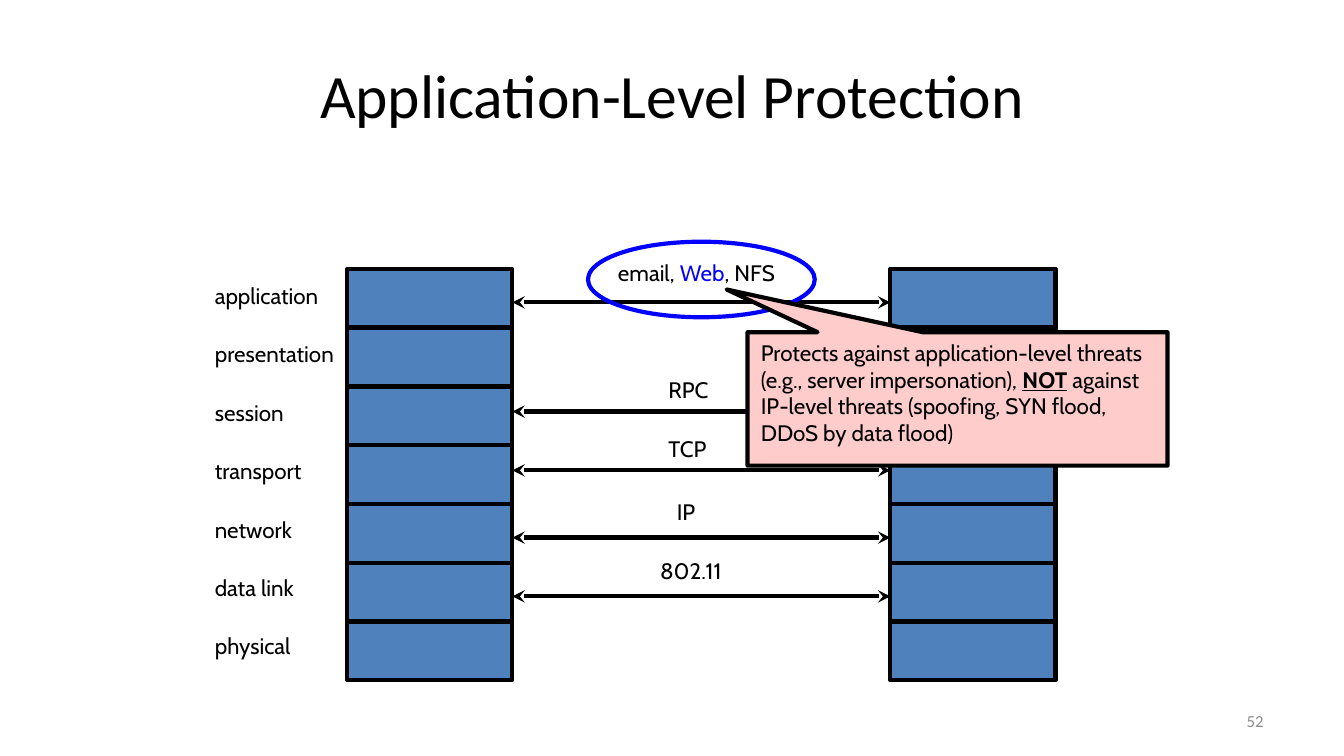
import pptx
import pptx.dml.color
import pptx.enum.shapes
import pptx.enum.text
import pptx.oxml.xmlchemy
import pptx.util

Pt = pptx.util.Pt
Align = pptx.enum.text.PP_ALIGN
Anchor = pptx.enum.text.MSO_ANCHOR
Shape = pptx.enum.shapes.MSO_SHAPE
OxmlElement = pptx.oxml.xmlchemy.OxmlElement

COLORS = {
    "black": "000000",
    "layer": "4F81BD",
    "highlight": "0000FF",
    "callout": "FFCCCC",
    "number": "8C8C8C",
}
BODY = {"name": "Cabin", "size": Pt(12)}
LINE_WIDTH = 2.25

STACK_LEFTS = (186, 477)
STACK_TOP = 144
LAYER_WIDTH = 88.5
LAYER_HEIGHT = 31.5
LABEL_LEFT = 108
LABEL_TOP = 147.5
LABEL_STEP = 31.3
LABEL_HEIGHT = 21.8

# name, label width
LAYERS = [
    ("application", 72),
    ("presentation", 81.5),
    ("session", 53.5),
    ("transport", 63.5),
    ("network", 57.5),
    ("data link", 60),
    ("physical", 57),
]
# arrow height, label left, top and width, label runs
PROTOCOLS = [
    (162, 324, 135, 102.5, [("email, ", {}), ("Web", {"color": "highlight"}), (", NFS", {})]),
    (220.5, 351, 198, 36, [("RPC", {})]),
    (252, 351, 229.5, 35.5, [("TCP", {})]),
    (288, 355.5, 263.5, 26, [("IP", {})]),
    (319.5, 346.5, 295, 51, [("802.11", {})]),
]
CALLOUT = [
    ("Protects against application-level threats (e.g., server impersonation), ", {}),
    ("NOT", {"bold": True, "underline": True}),
    (" against IP-level threats (spoofing, SYN flood, DDoS by data flood)", {}),
]


def rgb(name):
    return pptx.dml.color.RGBColor.from_string(COLORS[name])


def write(shape, runs, base=BODY, color="black", align=Align.LEFT, anchor=Anchor.TOP, wrap=True):
    """Fill a shape with one paragraph of (text, format) runs."""
    frame = shape.text_frame
    frame.word_wrap = wrap
    frame.vertical_anchor = anchor
    paragraph = frame.paragraphs[0]
    paragraph.alignment = align
    for text, changes in runs:
        run = paragraph.add_run()
        run.text = text
        values = {**base, "color": color, **changes}
        run.font.color.rgb = rgb(values.pop("color"))
        for attribute, value in values.items():
            setattr(run.font, attribute, value)


def add_text(slide, left, top, width, height, runs, **options):
    box = slide.shapes.add_textbox(Pt(left), Pt(top), Pt(width), Pt(height))
    write(box, runs, **options)


def add_shape(slide, kind, left, top, width, height, fill=None, line="black"):
    shape = slide.shapes.add_shape(kind, Pt(left), Pt(top), Pt(width), Pt(height))
    shape.shadow.inherit = False
    if fill:
        shape.fill.solid()
        shape.fill.fore_color.rgb = rgb(fill)
    else:
        shape.fill.background()
    shape.line.color.rgb = rgb(line)
    shape.line.width = Pt(LINE_WIDTH)
    return shape


def add_double_arrow(slide, left, right, y):
    arrow = slide.shapes.add_connector(
        pptx.enum.shapes.MSO_CONNECTOR.STRAIGHT, Pt(left), Pt(y), Pt(right), Pt(y)
    )
    arrow.line.color.rgb = rgb("black")
    arrow.line.width = Pt(LINE_WIDTH)
    line = arrow.line._get_or_add_ln()
    for tag in ("a:headEnd", "a:tailEnd"):
        end = OxmlElement(tag)
        end.set("type", "stealth")
        line.append(end)
    arrow._element.spPr.append(OxmlElement("a:effectLst"))


def add_title(slide, text):
    title = slide.shapes.title
    title.left, title.top, title.width, title.height = Pt(36), Pt(16.5), Pt(648), Pt(67.5)
    font = {"name": "Calibri", "size": Pt(33)}
    write(title, [(text, {})], base=font, align=Align.CENTER, anchor=Anchor.MIDDLE)


def add_stacks(slide):
    for left in STACK_LEFTS:
        for row in range(len(LAYERS)):
            top = STACK_TOP + row * LAYER_HEIGHT
            add_shape(slide, Shape.RECTANGLE, left, top, LAYER_WIDTH, LAYER_HEIGHT, fill="layer")
    for row, (name, width) in enumerate(LAYERS):
        top = LABEL_TOP + row * LABEL_STEP
        add_text(slide, LABEL_LEFT, top, width, LABEL_HEIGHT, [(name, {})], wrap=False)


def add_protocols(slide):
    for y, left, top, width, runs in PROTOCOLS:
        add_double_arrow(slide, STACK_LEFTS[0] + LAYER_WIDTH, STACK_LEFTS[1], y)
        add_text(slide, left, top, width, LABEL_HEIGHT, runs, wrap=False)


def add_callout(slide):
    add_shape(slide, Shape.OVAL, 315, 129.5, 121.5, 40.5, line="highlight")
    callout = add_shape(
        slide, Shape.RECTANGULAR_CALLOUT, 400.5, 178, 225, 71.5, fill="callout"
    )
    callout.adjustments[0] = -0.55
    callout.adjustments[1] = -0.82
    write(callout, CALLOUT)


def main():
    presentation = pptx.Presentation()
    presentation.slide_width = Pt(720)
    presentation.slide_height = Pt(405)
    slide = presentation.slides.add_slide(presentation.slide_layouts[5])
    add_title(slide, "Application-Level Protection")
    add_stacks(slide)
    add_protocols(slide)
    add_callout(slide)
    add_text(
        slide, 516, 375.5, 168, 21.5, [("52", {})],
        base={"name": "Calibri", "size": Pt(9)}, color="number",
        align=Align.RIGHT, anchor=Anchor.MIDDLE,
    )
    presentation.save("out.pptx")


if __name__ == "__main__":
    main()
